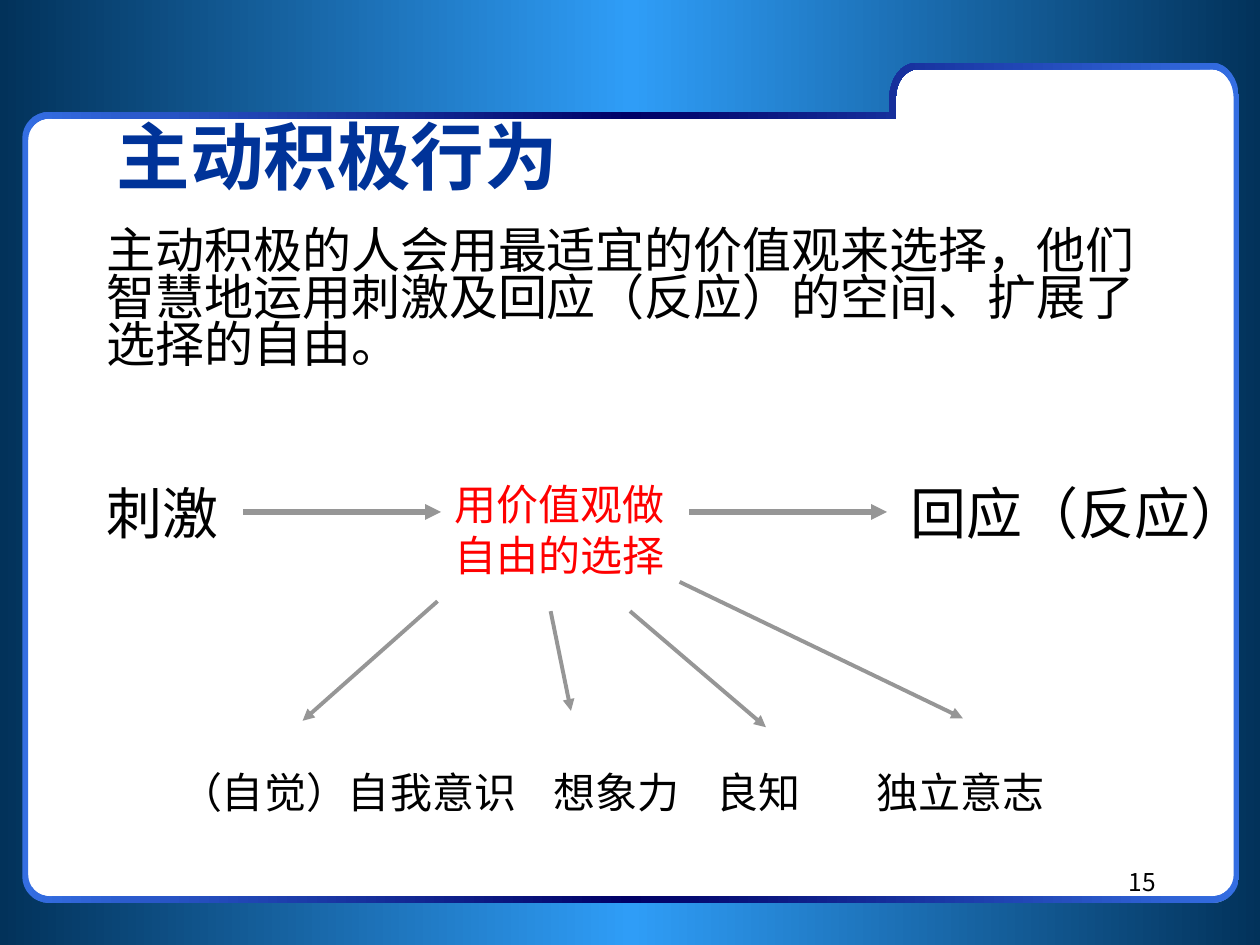
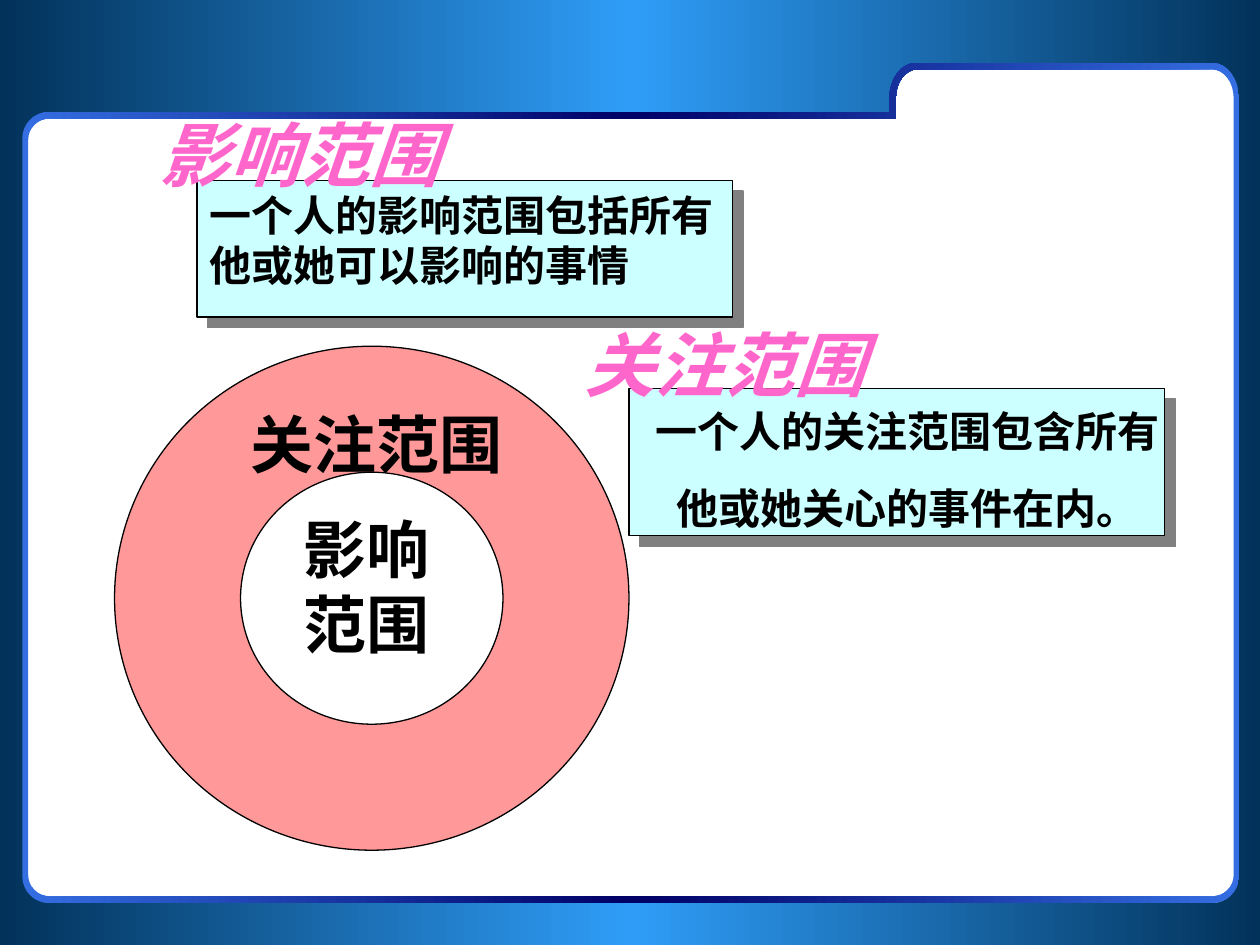
from copy import deepcopy
from math import cos, pi, sin

from lxml.etree import SubElement
from pptx import Presentation
from pptx.dml.color import RGBColor
from pptx.enum.shapes import MSO_CONNECTOR, MSO_SHAPE
from pptx.enum.text import MSO_ANCHOR, PP_ALIGN
from pptx.oxml.ns import qn
from pptx.util import Cm, Pt

BLACK = RGBColor(0x00, 0x00, 0x00)
WHITE = RGBColor(0xFF, 0xFF, 0xFF)
RED = RGBColor(0xFF, 0x00, 0x00)
TITLE_BLUE = RGBColor(0x00, 0x33, 0x99)
PINK = RGBColor(0xFF, 0x66, 0xCC)
SALMON = RGBColor(0xFF, 0x99, 0x99)
PALE_CYAN = RGBColor(0xCC, 0xFF, 0xFF)
ARROW_GREY = RGBColor(0x96, 0x96, 0x96)
SHADOW_GREY = RGBColor(0x80, 0x80, 0x80)
BACKDROP = (RGBColor(0x02, 0x32, 0x5A), RGBColor(0x2F, 0x9D, 0xF7))
FRAME = (RGBColor(0x34, 0x6E, 0xE2), RGBColor(0x00, 0x00, 0x66))

SANS, SERIF, NUMBER_FONT = "Noto Sans CJK SC", "Times New Roman", "Noto Sans CJK KR"
CENTER, RIGHT = PP_ALIGN.CENTER, PP_ALIGN.RIGHT

# Folder outlines in cm: left, tab left, right, tab top, top, bottom, corner radius
PANEL_EDGE = (0.56, 18.01, 24.92, 1.35, 2.34, 18.2, 0.46)
FRAME_OUTER = (0.45, 17.93, 24.98, 1.27, 2.26, 18.2, 0.53)
FRAME_INNER = (0.57, 18.06, 24.87, 1.4, 2.39, 18.07, 0.43)

# Texts: (left, top, width, height) in cm, lines, size, style
BEHAVIOUR_TEXTS = [
    ((18.27, 17.35, 5.28, 1.07), ["15"], 14, dict(font=NUMBER_FONT, align=RIGHT)),
    ((1.9, 4.52, 21.7, 3.4),
     ["主动积极的人会用最适宜的价值观来选择，他们智慧地运用刺激及回应（反应）的空间、扩展了选择的自由。"],
     28, dict(before=7, spacing=0.8)),
    ((2.1, 2.33, 18.03, 1.6), ["主动积极行为"], 42,
     dict(color=TITLE_BLUE, bold=True, anchor=MSO_ANCHOR.MIDDLE)),
    ((3.38, 15.32, 18.4, 1.27), ["（自觉）自我意识\t想象力\t良知\t独立意志"], 24,
     dict(before=6, tabs=(7.53, 10.81, 14.05))),
    ((1.9, 9.53, 2.77, 1.63), ["刺激"], 32, dict(wrap=False)),
    ((18.11, 9.53, 7.29, 1.63), ["回应（反应）"], 32, dict(before=8, wrap=False)),
    ((8.92, 9.53, 5.0, 2.29), ["用价值观做", "自由的选择"], 24, dict(color=RED)),
]

# Arrows in cm: from x, from y, to x, to y, width in points
BEHAVIOUR_ARROWS = [
    (4.9, 10.32, 8.89, 10.32, 3),
    (13.89, 10.32, 17.88, 10.32, 3),
    (8.82, 12.12, 6.1, 14.53, 2.25),
    (11.1, 12.32, 11.51, 14.33, 2.25),
    (12.7, 12.32, 15.44, 14.66, 2.25),
    (13.7, 11.73, 19.41, 14.48, 2.25),
]

DEFINITION_CARDS = [(12.68, 7.83, 10.8, 2.97), (3.97, 3.64, 10.8, 2.75)]
CONCERN_RING = (2.31, 6.98, 10.37, 10.16)
RING_THICKNESS = 0.25
SCOPE = dict(font=SERIF, bold=True)
HEADING = dict(SCOPE, color=PINK, italic=True)
SCOPE_TEXTS = [
    ((3.99, 8.05, 7.19, 1.78), ["关注范围"], 36, dict(SCOPE, align=CENTER, before=22.5)),
    ((5.28, 10.16, 4.22, 3.3), ["影响范围"], 36, dict(SCOPE, align=CENTER, before=22.5)),
    ((3.98, 3.69, 10.8, 2.29), ["一个人的影响范围包括所有他或她可以影响的事情"], 24,
     dict(SCOPE, before=15)),
    ((2.97, 2.12, 6.5, 1.96), ["影响范围"], 40, HEADING),
    ((12.48, 8.05, 11.63, 2.82),
     ["一个人的关注范围包含所有", "他或她关心的事件在内。"], 24,
     dict(SCOPE, align=CENTER, before=15)),
    ((11.21, 6.35, 6.78, 1.96), ["关注范围"], 40, dict(HEADING, align=CENTER, before=25)),
]


def folder_outline(left, tab, right, tab_top, top, bottom, radius):
    """Clockwise points of a folder whose tab stands at the upper right."""
    tab_rx, tab_ry = radius, radius * 1.35

    def corner(x, y, rx, ry, quarter):
        angles = [(quarter + step / 8) * pi / 2 for step in range(9)]
        return [(Cm(x + rx * cos(a)), Cm(y + ry * sin(a))) for a in angles]

    return [
        *corner(left + radius, top + radius, radius, radius, 2),
        (Cm(tab), Cm(top)),
        *corner(tab + tab_rx, tab_top + tab_ry, tab_rx, tab_ry, 2),
        *corner(right - tab_rx, tab_top + tab_ry, tab_rx, tab_ry, 3),
        *corner(right - radius, bottom - radius, radius, radius, 0),
        *corner(left + radius, bottom - radius, radius, radius, 1),
    ]


def add_outline(slide, *contours):
    first, *holes = contours
    builder = slide.shapes.build_freeform(*first[0])
    builder.add_line_segments(first[1:], close=True)
    for hole in holes:
        builder.move_to(*hole[0])
        builder.add_line_segments(hole[1:], close=True)
    outline = builder.convert_to_shape()
    outline.shadow.inherit = False
    outline.line.fill.background()
    return outline


def fill_solid(shape, color):
    shape.fill.solid()
    shape.fill.fore_color.rgb = color


def fill_mirrored(shape, edge, middle):
    """Horizontal gradient from edge to middle and back."""
    shape.fill.gradient()
    shape.fill.gradient_angle = 0
    stops = shape.element.spPr.find(".//" + qn("a:gsLst"))
    stops.append(deepcopy(stops[0]))
    for stop, position, color in zip(
            shape.fill.gradient_stops, (0, 0.5, 1), (edge, middle, edge)):
        stop.position = position
        stop.color.rgb = color


def add_preset(slide, preset, box, color=None):
    shape = slide.shapes.add_shape(preset, *map(Cm, box))
    shape.shadow.inherit = False
    if color is None:
        shape.line.fill.background()
    else:
        fill_solid(shape, color)
        shape.line.color.rgb = BLACK
        shape.line.width = Pt(0.75)
    return shape


def add_text(slide, box, lines, size, style):
    label = slide.shapes.add_textbox(*map(Cm, box))
    frame = label.text_frame
    frame.word_wrap = style.get("wrap", True)
    frame.vertical_anchor = style.get("anchor", MSO_ANCHOR.TOP)
    frame.text = "\n".join(lines)
    for paragraph in frame.paragraphs:
        paragraph.alignment = style.get("align", PP_ALIGN.LEFT)
        paragraph.space_before = Pt(style.get("before", 0))
        paragraph.line_spacing = style.get("spacing", 1.0)
        if "tabs" in style:
            tab_list = SubElement(paragraph._p.get_or_add_pPr(), qn("a:tabLst"))
            for position in style["tabs"]:
                SubElement(tab_list, qn("a:tab"), pos=str(Cm(position)), algn="l")
        for run in paragraph.runs:
            font = run.font
            font.size = Pt(size)
            font.name = style.get("font", SANS)
            font.bold = style.get("bold", False)
            font.italic = style.get("italic", False)
            font.color.rgb = style.get("color", BLACK)
            SubElement(run._r.get_or_add_rPr(), qn("a:ea"), typeface=SANS)


def add_arrow(slide, x1, y1, x2, y2, width):
    arrow = slide.shapes.add_connector(
        MSO_CONNECTOR.STRAIGHT, Cm(x1), Cm(y1), Cm(x2), Cm(y2))
    arrow.line.color.rgb = ARROW_GREY
    arrow.line.width = Pt(width)
    SubElement(arrow.line._get_or_add_ln(), qn("a:tailEnd"), type="triangle")
    SubElement(arrow._element.spPr, qn("a:effectLst"))


def add_card(slide, box):
    card = add_preset(slide, MSO_SHAPE.RECTANGLE, box, PALE_CYAN)
    effects = card.element.spPr.find(qn("a:effectLst"))
    shadow = SubElement(effects, qn("a:outerShdw"), blurRad="0", dist=str(Pt(8.5)),
                        dir="2700000", algn="ctr", rotWithShape="0")
    SubElement(shadow, qn("a:srgbClr"), val=str(SHADOW_GREY))


def add_folder_slide(deck):
    slide = deck.slides.add_slide(deck.slide_layouts[6])
    backdrop = add_preset(slide, MSO_SHAPE.RECTANGLE, (0, 0, 25.45, 19.08))
    fill_mirrored(backdrop, *BACKDROP)
    fill_solid(add_outline(slide, folder_outline(*PANEL_EDGE)), WHITE)
    frame = add_outline(slide, folder_outline(*FRAME_OUTER),
                        folder_outline(*FRAME_INNER)[::-1])
    fill_mirrored(frame, *FRAME)
    return slide


def add_behaviour_slide(deck):
    slide = add_folder_slide(deck)
    for arrow in BEHAVIOUR_ARROWS:
        add_arrow(slide, *arrow)
    for text in BEHAVIOUR_TEXTS:
        add_text(slide, *text)


def add_scope_slide(deck):
    slide = add_folder_slide(deck)
    for card in DEFINITION_CARDS:
        add_card(slide, card)
    ring = add_preset(slide, MSO_SHAPE.DONUT, CONCERN_RING, SALMON)
    ring.adjustments[0] = RING_THICKNESS
    for text in SCOPE_TEXTS:
        add_text(slide, *text)


def main():
    deck = Presentation()
    deck.slide_width, deck.slide_height = Cm(25.4), Cm(19.05)
    add_behaviour_slide(deck)
    add_scope_slide(deck)
    deck.save("out.pptx")


if __name__ == "__main__":
    main()
